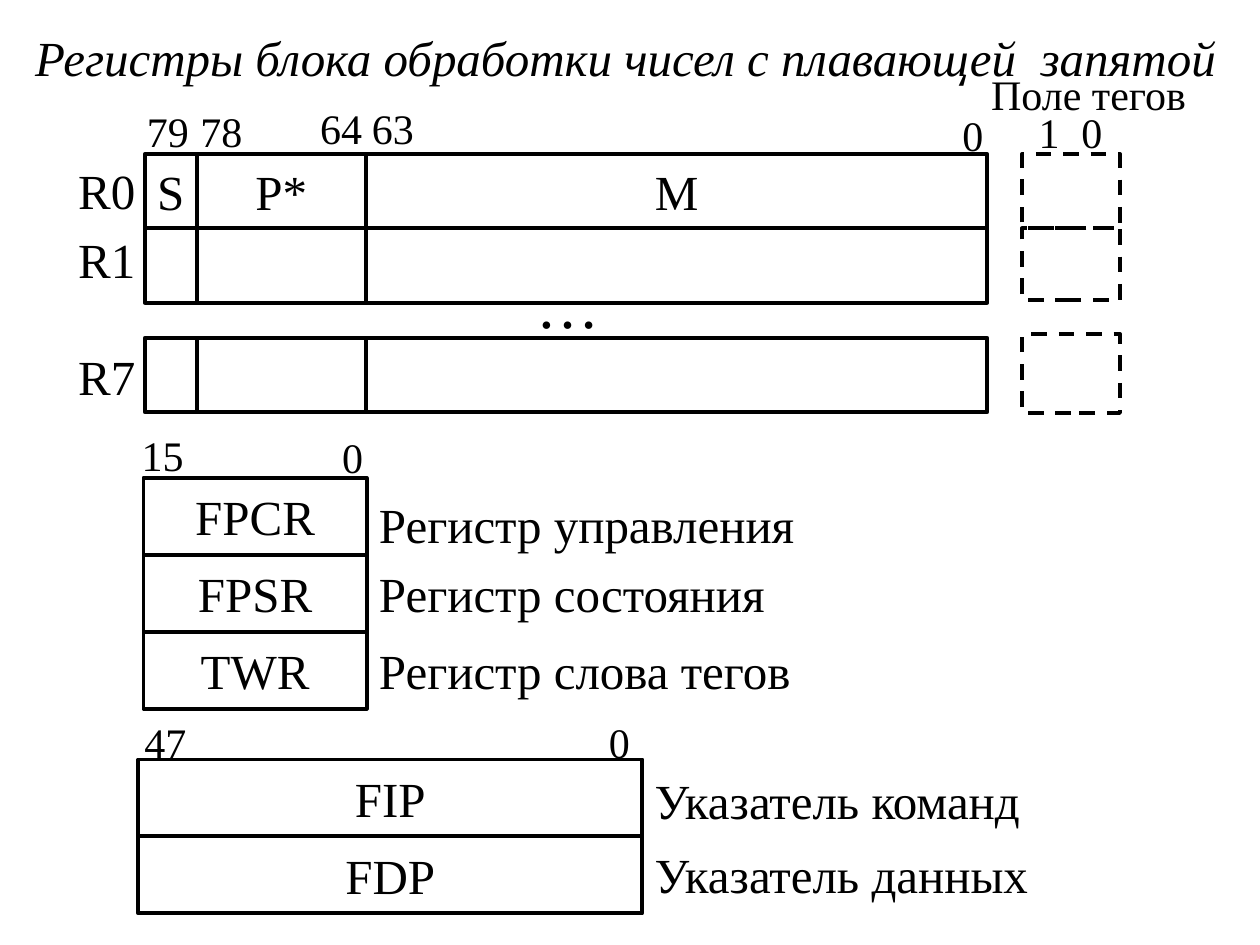
"""Builds a slide with the registers of a floating-point unit."""
from itertools import accumulate

from pptx import Presentation
from pptx.dml.color import RGBColor
from pptx.enum.dml import MSO_LINE
from pptx.enum.shapes import MSO_SHAPE
from pptx.enum.text import MSO_ANCHOR, PP_ALIGN
from pptx.util import Pt

BLACK = RGBColor(0, 0, 0)
FONT = "Times New Roman"
LARGE, SMALL = 28, 24

TITLE = "Регистры блока обработки чисел с плавающей  запятой"

FIELD_LEFT, FIELD_HEIGHT = 82.8, 42.5
FIELD_WIDTHS = [29.5, 96.8, 355]
TAG_LEFT, TAG_WIDTH = 584, 56
DATA_REGISTERS = [
    {"name": "R0", "top": 88, "name_top": 85, "fields": ["S", "P*", "M"], "tag": (88, 42.5)},
    {"name": "R1", "top": 130.5, "name_top": 124.5, "fields": ["", "", ""], "tag": (130.5, 41)},
    {"name": "R7", "top": 193, "name_top": 191.5, "fields": ["", "", ""], "tag": (191, 45)},
]

SPECIAL_HEIGHT = 44
SPECIAL_REGISTERS = [
    {"left": 82, "top": 273, "width": 127.5, "rows": [
        ("FPCR", "Регистр управления", 276),
        ("FPSR", "Регистр состояния", 315.5),
        ("TWR", "Регистр слова тегов", 359.5)]},
    {"left": 79, "top": 434, "width": 288, "rows": [
        ("FIP", "Указатель команд", 434),
        ("FDP", "Указатель данных", 476)]},
]

BIT_NUMBERS = [
    ("79", 96, 54), ("78", 126.5, 54), ("64", 195, 52), ("63", 224.5, 52),
    ("0", 556, 56), ("1", 599.5, 54.5), ("0", 624, 54.5),
    ("15", 93, 239), ("0", 201.5, 240),
    ("47", 94.5, 403), ("0", 354, 403),
]
BIT_WIDTH, LABEL_HEIGHT = 69, 30


def write(box, text, size, align):
    para = box.text_frame.paragraphs[0]
    para.alignment = align
    span = para.add_run()
    span.text = text
    span.font.name = FONT
    span.font.size = Pt(size)
    span.font.color.rgb = BLACK
    return span


def add_label(slide, text, left, top, width, height=LABEL_HEIGHT, size=LARGE,
              align=PP_ALIGN.CENTER):
    box = slide.shapes.add_textbox(Pt(left), Pt(top), Pt(width), Pt(height))
    box.text_frame.word_wrap = True
    box.text_frame.margin_top = Pt(6.5)
    return write(box, text, size, align)


def add_cell(slide, text, left, top, width, height, dashed=False):
    cell = slide.shapes.add_shape(
        MSO_SHAPE.RECTANGLE, Pt(left), Pt(top), Pt(width), Pt(height))
    cell.shadow.inherit = False
    cell.fill.background()
    cell.line.color.rgb = BLACK
    cell.line.width = Pt(2.25)
    if dashed:
        cell.line.dash_style = MSO_LINE.DASH
    if text:
        cell.text_frame.word_wrap = False
        cell.text_frame.vertical_anchor = MSO_ANCHOR.MIDDLE
        write(cell, text, LARGE, PP_ALIGN.CENTER)


def main():
    deck = Presentation()
    deck.slide_width, deck.slide_height = Pt(720), Pt(540)
    slide = deck.slides.add_slide(deck.slide_layouts[6])

    add_label(slide, TITLE, 8.6, 9.4, 697.7, 36).font.italic = True
    add_label(slide, "Поле тегов", 551, 32.5, 142, size=SMALL)

    field_lefts = list(accumulate(FIELD_WIDTHS, initial=FIELD_LEFT))
    for register in DATA_REGISTERS:
        add_label(slide, register["name"], 26.5, register["name_top"], 69)
        for text, left, width in zip(register["fields"], field_lefts, FIELD_WIDTHS):
            add_cell(slide, text, left, register["top"], width, FIELD_HEIGHT)
        tag_top, tag_height = register["tag"]
        add_cell(slide, "", TAG_LEFT, tag_top, TAG_WIDTH, tag_height, dashed=True)
    add_label(slide, "…", 85, 145.5, 479, size=36)

    for group in SPECIAL_REGISTERS:
        left, width = group["left"], group["width"]
        for index, (name, meaning, meaning_top) in enumerate(group["rows"]):
            top = group["top"] + index * SPECIAL_HEIGHT
            add_cell(slide, name, left, top, width, SPECIAL_HEIGHT)
            add_label(slide, meaning, left + width, meaning_top, 340, 32.5,
                      align=PP_ALIGN.LEFT)

    for number, center, top in BIT_NUMBERS:
        add_label(slide, number, center - BIT_WIDTH / 2, top, BIT_WIDTH, size=SMALL)

    deck.save("out.pptx")


if __name__ == "__main__":
    main()
